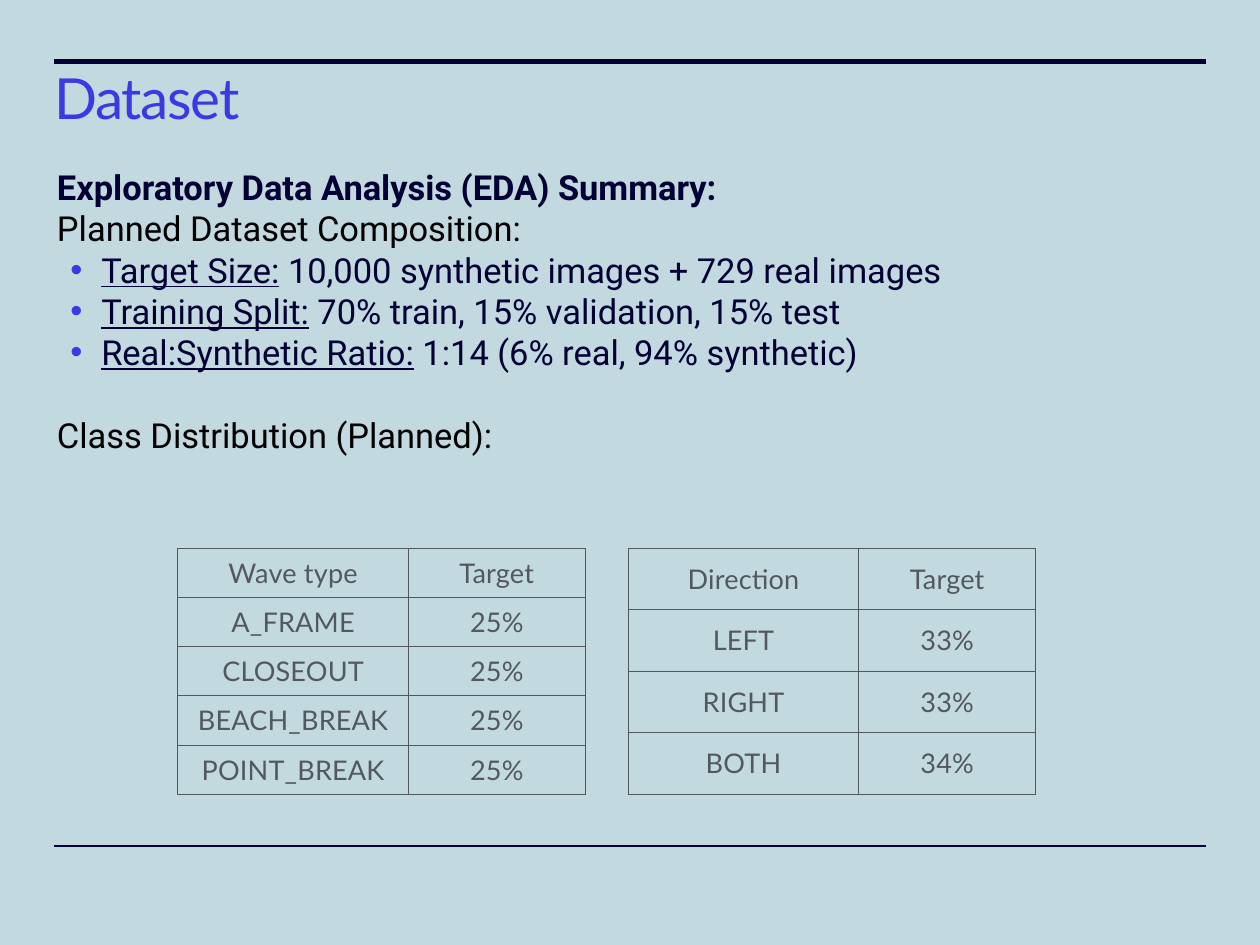
"""Build the Dataset slide: a summary list above two class distribution tables."""
from pptx import Presentation
from pptx import util as u
from pptx.dml import color
from pptx.enum import shapes, text
from pptx.oxml import ns, xmlchemy

COLORS = {
    "background": "C3D9E0",
    "navy": "000034",
    "accent": "3B39E4",
    "black": "000000",
    "gray": "53585F",
}
HEADING = {"name": "Lato", "size": u.Pt(46), "bold": False}
BODY = {"name": "Roboto", "size": u.Pt(28), "bold": False}
CELL = {"name": "Lato", "size": u.Pt(22), "bold": False}
MARGINS = ("margin_left", "margin_top", "margin_right", "margin_bottom")

BULLETS = [
    ("Target Size:", " 10,000 synthetic images + 729 real images"),
    ("Training Split:", " 70% train, 15% validation, 15% test"),
    ("Real:Synthetic Ratio:", " 1:14 (6% real, 94% synthetic)"),
]
WAVE_TYPES = [
    ("Wave type", "Target"),
    ("A_FRAME", "25%"),
    ("CLOSEOUT", "25%"),
    ("BEACH_BREAK", "25%"),
    ("POINT_BREAK", "25%"),
]
DIRECTIONS = [
    ("Direction", "Target"),
    ("LEFT", "33%"),
    ("RIGHT", "33%"),
    ("BOTH", "34%"),
]
COLUMN_WIDTHS = (187.5, 143.5)
TABLE_TOP, TABLE_HEIGHT = 445.5, 200


def rgb(name):
    return color.RGBColor.from_string(COLORS[name])


def apply(target, values):
    for name, value in values.items():
        setattr(target, name, value)


def add_child(parent, tag, **attributes):
    child = xmlchemy.OxmlElement(tag)
    for name, value in attributes.items():
        child.set(name, str(value))
    parent.append(child)
    return child


def add_span(para, words, style, fill, spacing=0, **extra):
    span = para.add_run()
    span.text = words
    apply(span.font, {**style, **extra})
    span.font.color.rgb = rgb(fill)
    if spacing:
        span.font._element.set("spc", str(spacing))


def place_box(box, left, top, width, height, margin):
    apply(box, {"left": u.Pt(left), "top": u.Pt(top),
                "width": u.Pt(width), "height": u.Pt(height)})
    frame = box.text_frame
    apply(frame, dict.fromkeys(MARGINS, u.Pt(margin)))
    apply(frame, {"word_wrap": True, "auto_size": text.MSO_AUTO_SIZE.NONE,
                  "vertical_anchor": text.MSO_ANCHOR.TOP})
    return frame


def add_rule(page, top, weight):
    rule = page.shapes.add_connector(
        shapes.MSO_CONNECTOR.STRAIGHT, u.Pt(44), u.Pt(top), u.Pt(980), u.Pt(top))
    rule.line.color.rgb = rgb("navy")
    rule.line.width = u.Pt(weight)
    add_child(rule._element.spPr, "a:effectLst")


def add_title(page):
    frame = place_box(page.shapes.title, 42, 60, 940, 60, 2)
    para = frame.paragraphs[0]
    apply(para, {"alignment": text.PP_ALIGN.LEFT, "line_spacing": 0.8})
    add_span(para, "Dataset", HEADING, "accent", spacing=-100)


def add_body_line(frame, bulleted=False, gap=0):
    para = frame.paragraphs[0]
    if para.runs:
        para = frame.add_paragraph()
    apply(para, {"space_before": u.Pt(gap), "alignment": text.PP_ALIGN.LEFT})
    props = para._p.get_or_add_pPr()
    props.set("marL", str(u.Pt(36 if bulleted else 0)))
    props.set("indent", str(u.Pt(-25.2 if bulleted else 0)))
    if bulleted:
        add_child(add_child(props, "a:buClr"), "a:srgbClr", val=COLORS["accent"])
        add_child(props, "a:buChar", char="•")
    else:
        add_child(props, "a:buNone")
    return para


def add_summary(page):
    frame = place_box(page.placeholders[1], 42, 130.5, 885, 290, 4.3)
    add_span(add_body_line(frame), "Exploratory Data Analysis (EDA) Summary:",
             BODY, "navy", bold=True)
    add_span(add_body_line(frame), "Planned Dataset Composition:", BODY, "black")
    for label, detail in BULLETS:
        para = add_body_line(frame, bulleted=True)
        add_span(para, label, BODY, "navy", underline=True)
        add_span(para, detail, BODY, "navy")
    add_span(add_body_line(frame, gap=33.5), "Class Distribution (Planned):",
             BODY, "black")


def fill_cell(cell, words):
    apply(cell, dict.fromkeys(MARGINS, u.Pt(4.3)))
    cell.vertical_anchor = text.MSO_ANCHOR.MIDDLE
    para = cell.text_frame.paragraphs[0]
    para.alignment = text.PP_ALIGN.CENTER
    add_span(para, words, CELL, "gray", spacing=20)
    props = cell._tc.get_or_add_tcPr()
    for side in ("L", "R", "T", "B"):
        border = add_child(props, f"a:ln{side}", w=u.Pt(1))
        add_child(add_child(border, "a:solidFill"), "a:srgbClr", val=COLORS["gray"])
    cell.fill.background()


def add_distribution(page, left, rows):
    table = page.shapes.add_table(
        len(rows), len(COLUMN_WIDTHS), u.Pt(left), u.Pt(TABLE_TOP),
        u.Pt(sum(COLUMN_WIDTHS)), u.Pt(TABLE_HEIGHT)).table
    apply(table, {"first_row": False, "horz_banding": False})
    for column, width in zip(table.columns, COLUMN_WIDTHS):
        column.width = u.Pt(width)
    for row, values in zip(table.rows, rows):
        row.height = u.Pt(TABLE_HEIGHT / len(rows))
        for cell, words in zip(row.cells, values):
            fill_cell(cell, words)


def main():
    deck = Presentation()
    apply(deck, {"slide_width": u.Pt(1024), "slide_height": u.Pt(768)})
    page = deck.slides.add_slide(deck.slide_layouts[1])
    page.background.fill.solid()
    page.background.fill.fore_color.rgb = rgb("background")
    add_rule(page, 687.5, 1)
    add_rule(page, 50, 4)
    add_title(page)
    add_summary(page)
    add_distribution(page, 144.5, WAVE_TYPES)
    add_distribution(page, 510.5, DIRECTIONS)
    deck.save("out.pptx")


if __name__ == "__main__":
    main()
